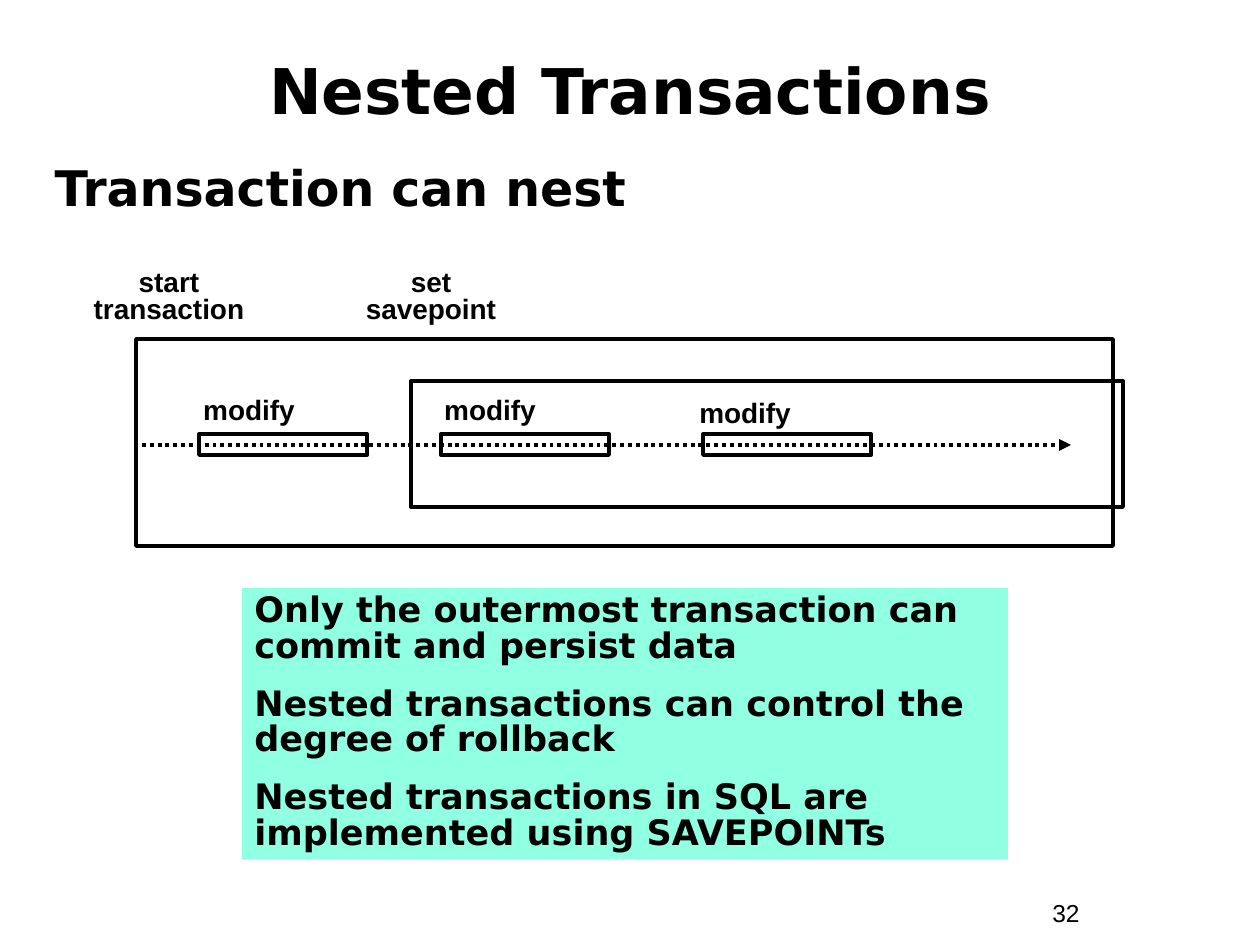
from lxml.etree import SubElement
from pptx import Presentation
from pptx.dml.color import RGBColor
from pptx.enum.dml import MSO_LINE
from pptx.enum.shapes import MSO_CONNECTOR, MSO_SHAPE
from pptx.enum.text import MSO_ANCHOR, MSO_AUTO_SIZE, PP_ALIGN
from pptx.oxml.ns import qn
from pptx.util import Pt

# Content; boxes are (left, top, width, height) in px
PX = 914400 / 126
COLORS = {"ink": "000000", "paper": "FFFFFF", "note": "91FFE2"}
HEADING, LABEL = "DejaVu Sans", "Arial"

TITLE = ("Nested Transactions", (42, 42, 1176, 94))
BODY = ("Transaction can nest", (42, 158, 1155, 73))
NOTES = [
    "Only the outermost transaction can commit and persist data",
    "Nested transactions can control the degree of rollback",
    "Nested transactions in SQL are implemented using SAVEPOINTs",
]
NOTE_BOX = (242, 588, 766, 271)
PAGE = ("32", (1040, 892, 116, 43))

TRANSACTIONS = [(136, 339, 977, 207), (411, 381, 712, 126)]
EVENTS = [("start\ntransaction", 76), ("set\nsavepoint", 338)]
EVENT_TOP, EVENT_SIZE = 265, (186, 67)
# Each modify step: label left, label top, bar left
STEPS = [(165, 396, 199), (406, 396, 441), (661, 399, 703)]
STEP_LABEL_SIZE = (168, 37)
BAR_TOP, BAR_SIZE = 434, (168, 21)
TIMELINE = (142, 445, 1071, 445)


def px(values):
    return [round(value * PX) for value in values]


def color(name):
    return RGBColor.from_string(COLORS[name])


def place(shape, box):
    shape.left, shape.top, shape.width, shape.height = px(box)


def write(frame, texts, size, font, bold=True, align=PP_ALIGN.LEFT,
          spacing=1.0, gap=0, anchor=MSO_ANCHOR.TOP):
    frame.word_wrap = True
    frame.auto_size = MSO_AUTO_SIZE.NONE
    frame.vertical_anchor = anchor
    for index, text in enumerate(texts):
        paragraph = frame.add_paragraph() if index else frame.paragraphs[0]
        paragraph.text = text
        paragraph.alignment = align
        paragraph.line_spacing = spacing
        paragraph.space_before = Pt(gap if index else 0)
        paragraph.font.size = Pt(size)
        paragraph.font.name = font
        paragraph.font.bold = bold
        paragraph.font.color.rgb = color("ink")


def add_text(slide, text, box, size, **style):
    text_box = slide.shapes.add_textbox(*px(box))
    write(text_box.text_frame, [text], size, LABEL, **style)


def add_rectangle(slide, box, fill=None):
    shape = slide.shapes.add_shape(MSO_SHAPE.RECTANGLE, *px(box))
    shape.shadow.inherit = False
    if fill:
        shape.fill.solid()
        shape.fill.fore_color.rgb = color(fill)
        shape.line.fill.background()
    else:
        shape.fill.background()
        shape.line.color.rgb = color("ink")
        shape.line.width = Pt(2.25)
    return shape


def add_timeline(slide):
    connector = slide.shapes.add_connector(MSO_CONNECTOR.STRAIGHT, *px(TIMELINE))
    connector.line.color.rgb = color("ink")
    connector.line.width = Pt(2.25)
    connector.line.dash_style = MSO_LINE.ROUND_DOT
    properties = connector.element.spPr
    SubElement(properties.find(qn("a:ln")), qn("a:tailEnd"), type="triangle")
    SubElement(properties, qn("a:effectLst"))


def main():
    presentation = Presentation()
    presentation.slide_width, presentation.slide_height = px((1260, 945))
    slide = presentation.slides.add_slide(presentation.slide_layouts[1])
    slide.background.fill.solid()
    slide.background.fill.fore_color.rgb = color("paper")

    # Title and body
    title, body = slide.placeholders
    place(title, TITLE[1])
    write(title.text_frame, [TITLE[0]], 36, HEADING,
          align=PP_ALIGN.CENTER, anchor=MSO_ANCHOR.MIDDLE)
    place(body, BODY[1])
    properties = body.text_frame.paragraphs[0]._p.get_or_add_pPr()
    properties.set("marL", "0")
    properties.set("indent", "0")
    SubElement(properties, qn("a:buNone"))
    write(body.text_frame, [BODY[0]], 28, HEADING, spacing=0.9)

    # Timeline with its modify steps
    add_timeline(slide)
    for label_left, label_top, bar_left in STEPS:
        add_text(slide, "modify", (label_left, label_top, *STEP_LABEL_SIZE), 16,
                 align=PP_ALIGN.CENTER, spacing=0.7)
        add_rectangle(slide, (bar_left, BAR_TOP, *BAR_SIZE))

    # Outer and nested transaction
    for box in TRANSACTIONS:
        add_rectangle(slide, box)
    for text, left in EVENTS:
        add_text(slide, text, (left, EVENT_TOP, *EVENT_SIZE), 16,
                 align=PP_ALIGN.CENTER, spacing=0.8)

    # Notes and page number
    note = add_rectangle(slide, NOTE_BOX, "note")
    write(note.text_frame, NOTES, 20, HEADING, spacing=0.85, gap=12.5)
    add_text(slide, PAGE[0], PAGE[1], 14, bold=False)

    presentation.save("out.pptx")


if __name__ == "__main__":
    main()
